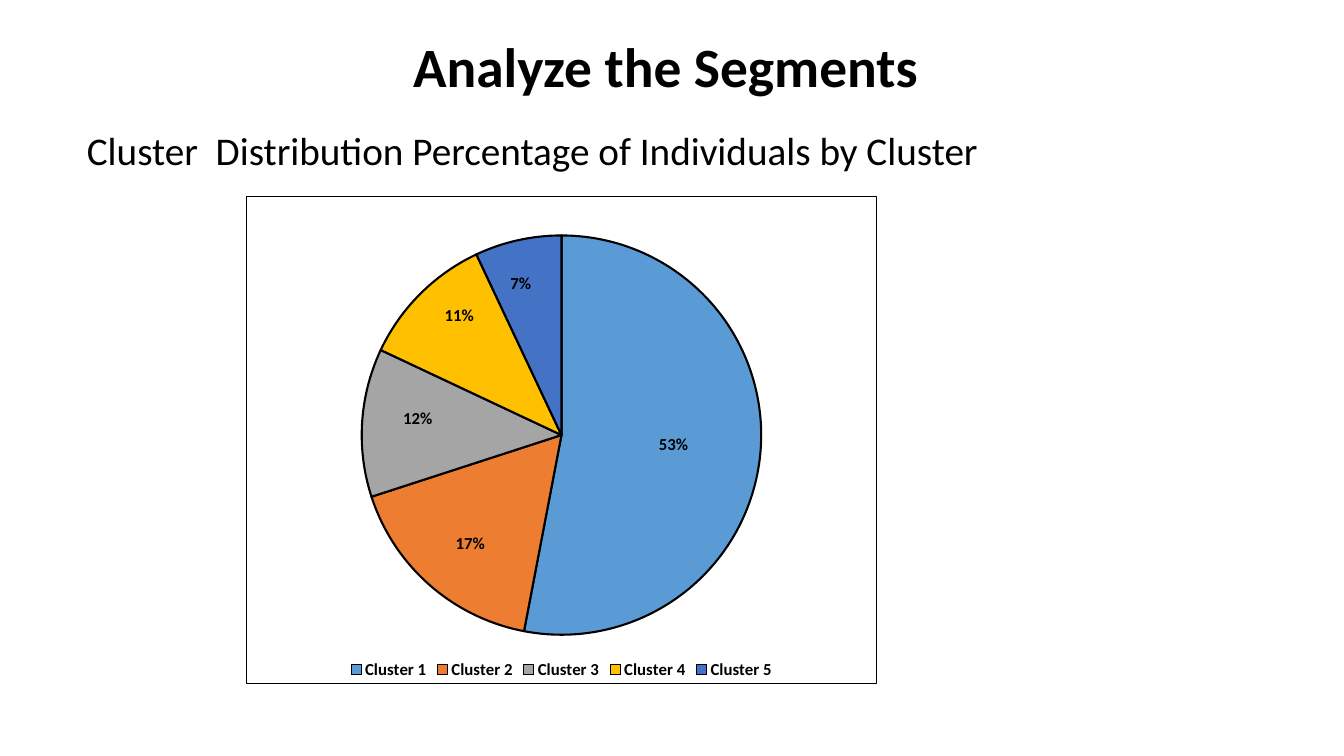
from lxml import etree
from pptx import Presentation
from pptx.chart.data import CategoryChartData
from pptx.dml.color import RGBColor
from pptx.enum.chart import XL_CHART_TYPE as ChartType
from pptx.enum.chart import XL_LABEL_POSITION as LabelPosition
from pptx.enum.chart import XL_LEGEND_POSITION as LegendPosition
from pptx.enum.text import MSO_ANCHOR as Anchor
from pptx.enum.text import PP_ALIGN as Align
from pptx.oxml import parse_xml
from pptx.oxml.ns import nsdecls, qn
from pptx.util import Emu, Pt

SCALE = 914400 / 100.8
FONT = "Calibri"
COLORS = {
    "black": "000000",
    "Cluster 1": "5B9BD5",
    "Cluster 2": "ED7D31",
    "Cluster 3": "A5A5A5",
    "Cluster 4": "FFC000",
    "Cluster 5": "4472C4",
}
BLACK = RGBColor.from_string(COLORS["black"])


def px(*lengths):
    """Turn pixel lengths into a list of EMU lengths."""
    return [Emu(round(length * SCALE)) for length in lengths]


def manual_layout(**values):
    """Build a chart layout element from its settings in order."""
    layout = etree.Element(qn("c:layout"))
    manual = etree.SubElement(layout, qn("c:manualLayout"))
    for name, value in values.items():
        etree.SubElement(manual, qn(f"c:{name}")).set("val", str(value))
    return layout


presentation = Presentation()
presentation.slide_width, presentation.slide_height = px(1344, 756)
slide = presentation.slides.add_slide(presentation.slide_layouts[6])

# Title and subtitle
texts = [
    ("Analyze the Segments ", (93, 40, 1158, 60), Anchor.MIDDLE, Align.CENTER,
     {"size": Pt(39.6), "bold": True}),
    ("Cluster  Distribution Percentage of Individuals by Cluster",
     (77, 127, 1254, 55), Anchor.TOP, Align.LEFT, {"size": Pt(28), "bold": False}),
]
for text, box, anchor, alignment, font_format in texts:
    frame = slide.shapes.add_textbox(*px(*box)).text_frame
    frame.word_wrap = True
    frame.vertical_anchor = anchor
    paragraph = frame.paragraphs[0]
    paragraph.alignment = alignment
    paragraph.line_spacing = 0.9
    run = paragraph.add_run()
    run.text = text
    for name, value in {"name": FONT, **font_format}.items():
        setattr(run.font, name, value)
    run.font.color.rgb = BLACK

# Cluster shares, with each label's shift from its slice centre in pixels
clusters = [
    ("Cluster 1", 0.53, (10, 0)),
    ("Cluster 2", 0.17, (-24, 35)),
    ("Cluster 3", 0.12, (-47, -8)),
    ("Cluster 4", 0.11, (-29, -47)),
    ("Cluster 5", 0.07, (-18, -55)),
]
chart_data = CategoryChartData(number_format="0%")
chart_data.categories = [name for name, share, shift in clusters]
chart_data.add_series("Series 1", [share for name, share, shift in clusters])
chart_width, chart_height = 631, 488
chart = slide.shapes.add_chart(
    ChartType.PIE, *px(246, 196, chart_width, chart_height), chart_data).chart
chart.has_title = False
chart.has_legend = True
chart.legend.position = LegendPosition.BOTTOM
chart.legend.include_in_layout = False

plot = chart.plots[0]
plot.vary_by_categories = True
plot.has_data_labels = True
plot.data_labels.number_format = "0%"
plot.data_labels.number_format_is_linked = False
fonts = [chart.font, chart.legend.font, plot.data_labels.font]

for point_index, (name, share, (right, down)) in enumerate(clusters):
    point = plot.series[0].points[point_index]
    point.format.fill.solid()
    point.format.fill.fore_color.rgb = RGBColor.from_string(COLORS[name])
    point.format.line.color.rgb = BLACK
    point.format.line.width = Pt(1.5)
    label = point.data_label
    label.position = LabelPosition.CENTER
    fonts.append(label.font)
    label_xml = plot.series[0].points[point_index].data_label._get_or_add_dLbl()
    label_xml.find(qn("c:idx")).addnext(manual_layout(
        x=round(right / chart_width, 2), y=round(down / chart_height, 2)))

for font in fonts:
    for name, value in {"name": FONT, "size": Pt(12), "bold": True}.items():
        setattr(font, name, value)
    font.color.rgb = BLACK

# Pie position and chart frame
plot_area = chart._chartSpace.chart.plotArea
for layout in plot_area.findall(qn("c:layout")):
    plot_area.remove(layout)
plot_area.insert(0, manual_layout(
    layoutTarget="inner", xMode="edge", yMode="edge", x=0.18, y=0.08, w=0.64, h=0.82))
chart._chartSpace.chart.addnext(parse_xml(
    f'<c:spPr {nsdecls("c", "a")}><a:noFill/><a:ln w="{Pt(0.75)}"><a:solidFill>'
    f'<a:srgbClr val="{COLORS["black"]}"/></a:solidFill></a:ln></c:spPr>'))

presentation.save("out.pptx")
